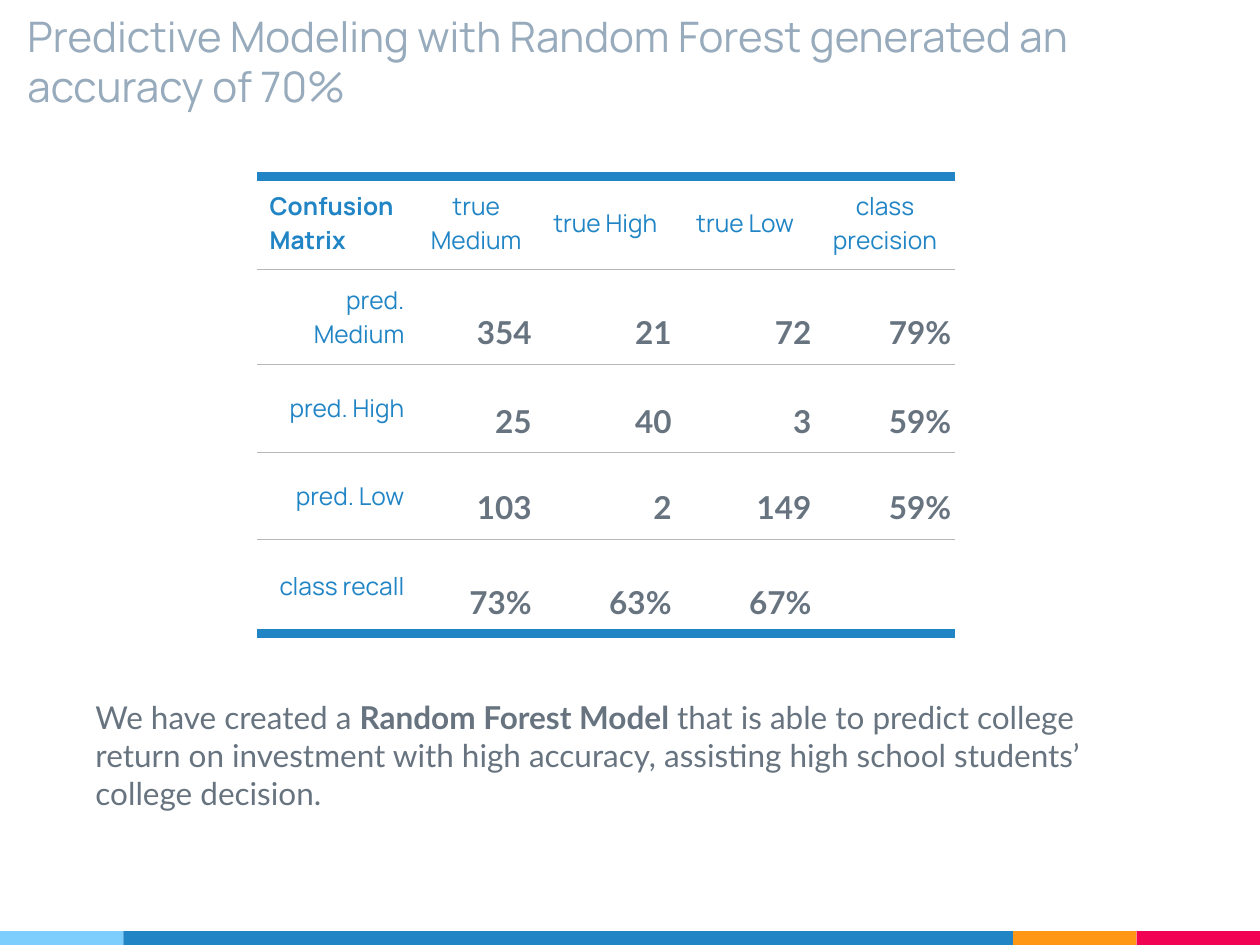
from dataclasses import dataclass

from lxml.etree import SubElement
from pptx import Presentation
from pptx.dml.color import RGBColor
from pptx.enum.shapes import MSO_SHAPE as Preset
from pptx.enum.text import MSO_ANCHOR as Anchor, PP_ALIGN as Align
from pptx.oxml.ns import qn
from pptx.util import Inches, Pt

WIDTH, HEIGHT = 10, 7.5


@dataclass(frozen=True)
class Theme:
    heading_font: str = "Manrope"
    body_font: str = "Lato"
    title_color: str = "97ABBC"
    label_color: str = "2185C5"
    body_color: str = "677480"
    rule_color: str = "B7B7B7"
    sky: str = "7ECEFD"
    orange: str = "FF9715"
    red: str = "F20253"
    title_size: int = 24
    body_size: int = 18
    label_size: int = 14
    thick: float = 6
    thin: float = 0.75


THEME = Theme()
TITLE_STYLE = (THEME.heading_font, THEME.title_size, THEME.title_color)
LABEL_STYLE = (THEME.heading_font, THEME.label_size, THEME.label_color)
BODY_STYLE = (THEME.body_font, THEME.body_size, THEME.body_color)

MATRIX = [
    ["Confusion Matrix", "true Medium", "true High", "true Low", "class precision"],
    ["pred. Medium", "354", "21", "72", "79%"],
    ["pred. High", "25", "40", "3", "59%"],
    ["pred. Low", "103", "2", "149", "59%"],
    ["class recall", "73%", "63%", "67%", ""],
]
COLUMN_WIDTHS = [1.27, 0.94, 1.11, 1.11, 1.11]
ROW_HEIGHTS = [0.74, 0.75, 0.7, 0.69, 0.75]


def add_run(paragraph, text, style, bold=False):
    run = paragraph.add_run()
    run.text = text
    family, size, color = style
    run.font.name, run.font.size, run.font.bold = family, Pt(size), bold
    run.font.color.rgb = RGBColor.from_string(color)


def add_text(slide, box, runs, style, anchor=Anchor.TOP, space_before=0):
    """Add a wrapped one-paragraph text box; runs are (text, bold) pairs."""
    frame = slide.shapes.add_textbox(*map(Inches, box)).text_frame
    frame.word_wrap = True
    frame.vertical_anchor = anchor
    frame.margin_left = frame.margin_right = Inches(0.1)
    frame.margin_top = frame.margin_bottom = Inches(0.1)
    paragraph = frame.paragraphs[0]
    paragraph.space_before = Pt(space_before)
    for text, bold in runs:
        add_run(paragraph, text, style, bold)


def add_footer(slide):
    """Draw the colour strip along the bottom edge."""
    end_width, strip_height = 0.98, 0.11
    strips = [
        (THEME.sky, end_width),
        (THEME.label_color, WIDTH - 3 * end_width),
        (THEME.orange, end_width),
        (THEME.red, end_width),
    ]
    left = 0
    for color, width in strips:
        strip = slide.shapes.add_shape(
            Preset.RECTANGLE, Inches(left), Inches(HEIGHT - strip_height),
            Inches(width), Inches(strip_height))
        strip.shadow.inherit = False
        strip.fill.solid()
        strip.fill.fore_color.rgb = RGBColor.from_string(color)
        strip.line.fill.background()
        left += width


def set_borders(cell, top, bottom):
    """Rule the cell above and below with (colour, points); leave its sides open."""
    properties = cell._tc.get_or_add_tcPr()
    borders = [("a:lnL", None), ("a:lnR", None), ("a:lnT", top), ("a:lnB", bottom)]
    for position, (tag, rule) in enumerate(borders):
        line = SubElement(properties, qn(tag))
        properties.insert(position, line)
        if rule is None:
            SubElement(line, qn("a:noFill"))
        else:
            color, points = rule
            line.set("w", str(Pt(points)))
            fill = SubElement(line, qn("a:solidFill"))
            SubElement(fill, qn("a:srgbClr")).set("val", color)


def fill_cell(cell, text, row, column):
    is_value = row > 0 and column > 0
    cell.fill.background()
    cell.margin_left = cell.margin_right = Inches(0.03 if is_value else 0.1)
    cell.margin_top = cell.margin_bottom = Inches(0.1)
    cell.vertical_anchor = Anchor.BOTTOM if is_value else Anchor.MIDDLE
    paragraph = cell.text_frame.paragraphs[0]
    if row:
        paragraph.alignment = Align.RIGHT
    elif column:
        paragraph.alignment = Align.CENTER
    if is_value:
        paragraph.line_spacing = 1.15
    if text:
        style = BODY_STYLE if is_value else LABEL_STYLE
        add_run(paragraph, text, style, bold=is_value or row == column == 0)


def add_matrix(slide):
    table = slide.shapes.add_table(
        len(MATRIX), len(COLUMN_WIDTHS), Inches(2.04), Inches(1.4),
        Inches(sum(COLUMN_WIDTHS)), Inches(sum(ROW_HEIGHTS))).table
    table.first_row = table.horz_banding = False
    for column, width in zip(table.columns, COLUMN_WIDTHS):
        column.width = Inches(width)
    for row, height in zip(table.rows, ROW_HEIGHTS):
        row.height = Inches(height)

    frame_rule = (THEME.label_color, THEME.thick)
    inner_rule = (THEME.rule_color, THEME.thin)
    last_row = len(MATRIX) - 1
    for row, texts in enumerate(MATRIX):
        for column, text in enumerate(texts):
            cell = table.cell(row, column)
            fill_cell(cell, text, row, column)
            set_borders(cell,
                        top=frame_rule if row == 0 else inner_rule,
                        bottom=frame_rule if row == last_row else inner_rule)


def main():
    deck = Presentation()
    deck.slide_width, deck.slide_height = Inches(WIDTH), Inches(HEIGHT)
    slide = deck.slides.add_slide(deck.slide_layouts[6])
    add_footer(slide)
    add_text(slide, (0.12, 0.46, 9.63, 0.52),
             [("Predictive Modeling with Random Forest generated an accuracy of 70%", False)],
             TITLE_STYLE, anchor=Anchor.BOTTOM)
    add_text(slide, (0.66, 5.44, 8.54, 1.06),
             [("We have created a ", False),
              ("Random Forest Model", True),
              (" that is able to predict college return on investment with high accuracy, "
               "assisting high school students’ college decision.", False)],
             BODY_STYLE, space_before=6)
    add_matrix(slide)
    deck.save("out.pptx")


if __name__ == "__main__":
    main()
